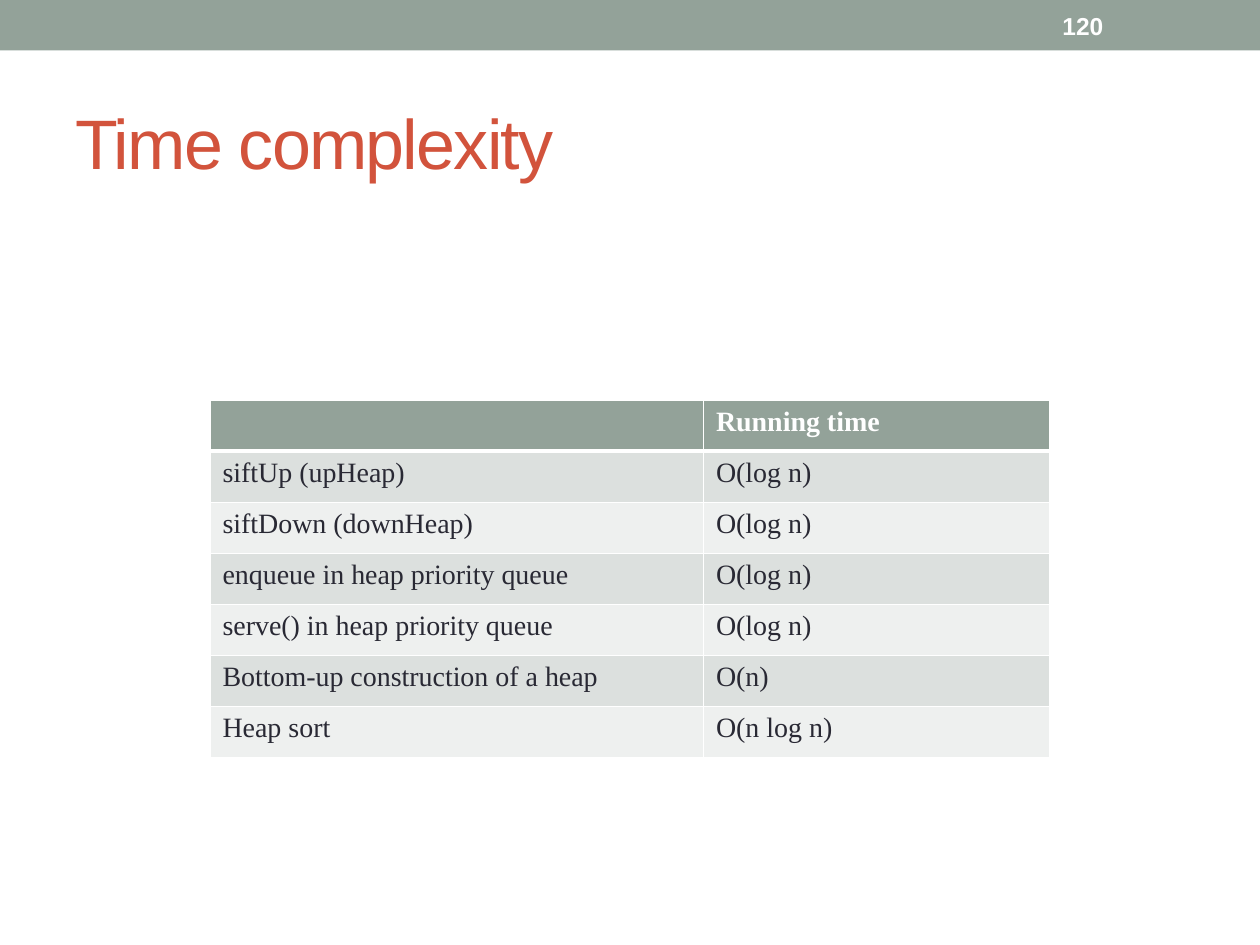
"""Build the slide listing running times of heap operations."""
from dataclasses import dataclass

from lxml import etree
from pptx import Presentation
from pptx.dml.color import RGBColor
from pptx.enum.shapes import MSO_SHAPE
from pptx.enum.text import MSO_ANCHOR
from pptx.oxml.ns import qn
from pptx.util import Pt

RECTANGLE = MSO_SHAPE.RECTANGLE
MIDDLE = MSO_ANCHOR.MIDDLE
BLANK_LAYOUT = 6
COLORS = {
    "sage": "93A299",
    "title": "D2533C",
    "white": "FFFFFF",
    "ink": "292934",
    "dark_band": "DCE0DE",
    "light_band": "EEF0EF",
}
HEADER_FORMAT = {"name": "Times New Roman", "size": Pt(16), "bold": True}
BODY_FORMAT = {**HEADER_FORMAT, "bold": False}
TABLE_LEFT, TABLE_TOP = 120, 228.6
COLUMN_WIDTHS = (282, 198)
ROW_HEIGHT = 29.2
ROWS = (
    ("", "Running time"),
    ("siftUp (upHeap)", "O(log n)"),
    ("siftDown (downHeap)", "O(log n)"),
    ("enqueue in heap priority queue", "O(log n)"),
    ("serve() in heap priority queue", "O(log n)"),
    ("Bottom-up construction of a heap", "O(n)"),
    ("Heap sort", "O(n log n)"),
)


@dataclass
class Label:
    text: str
    left: float
    top: float
    width: float
    height: float
    color: str
    font: dict
    spacing: int = 0


LABELS = (
    Label("Time complexity", 36, 42, 648, 78, "title",
          {"name": "Arial", "size": Pt(40), "bold": False}, -100),
    Label("120", 600, 1.5, 84, 26, "white",
          {"name": "Arial", "size": Pt(14), "bold": True}),
)


def rgb(color: str) -> RGBColor:
    return RGBColor.from_string(COLORS[color])


def write_text(paragraph, text: str, color: str, font: dict):
    run = paragraph.add_run()
    run.text = text
    for attribute, value in font.items():
        setattr(run.font, attribute, value)
    run.font.color.rgb = rgb(color)
    return run


def add_label(slide, label: Label) -> None:
    shape = slide.shapes.add_textbox(
        Pt(label.left), Pt(label.top), Pt(label.width), Pt(label.height))
    frame = shape.text_frame
    frame.word_wrap = True
    frame.vertical_anchor = MIDDLE
    run = write_text(frame.paragraphs[0], label.text, label.color, label.font)
    if label.spacing:
        run.font._element.set("spc", str(label.spacing))


def set_borders(cell, widths: dict) -> None:
    properties = cell._tc.get_or_add_tcPr()
    for index, (side, width) in enumerate(widths.items()):
        line = etree.Element(qn(f"a:{side}"), w=str(Pt(width)))
        fill = etree.SubElement(line, qn("a:solidFill"))
        etree.SubElement(fill, qn("a:srgbClr"), val=COLORS["white"])
        properties.insert(index, line)


def add_running_times(slide) -> None:
    table = slide.shapes.add_table(
        len(ROWS), len(COLUMN_WIDTHS), Pt(TABLE_LEFT), Pt(TABLE_TOP),
        Pt(sum(COLUMN_WIDTHS)), Pt(ROW_HEIGHT * len(ROWS))).table
    for column, width in zip(table.columns, COLUMN_WIDTHS):
        column.width = Pt(width)
    for row_index, texts in enumerate(ROWS):
        table.rows[row_index].height = Pt(ROW_HEIGHT)
        header = row_index == 0
        band = "dark_band" if row_index % 2 else "light_band"
        for column_index, text in enumerate(texts):
            cell = table.cell(row_index, column_index)
            cell.fill.solid()
            cell.fill.fore_color.rgb = rgb("sage" if header else band)
            set_borders(cell, {"lnL": 1, "lnR": 1,
                               "lnT": 3 if row_index == 1 else 1,
                               "lnB": 3 if header else 1})
            if text:
                write_text(cell.text_frame.paragraphs[0], text,
                           "white" if header else "ink",
                           HEADER_FORMAT if header else BODY_FORMAT)


def main() -> None:
    presentation = Presentation()
    presentation.slide_width, presentation.slide_height = Pt(720), Pt(540)
    slide = presentation.slides.add_slide(
        presentation.slide_layouts[BLANK_LAYOUT])
    banner = slide.shapes.add_shape(RECTANGLE, Pt(0), Pt(0), Pt(720), Pt(28.8))
    banner.shadow.inherit = False
    banner.fill.solid()
    banner.fill.fore_color.rgb = rgb("sage")
    banner.line.fill.background()
    for label in LABELS:
        add_label(slide, label)
    add_running_times(slide)
    presentation.save("out.pptx")


main()
